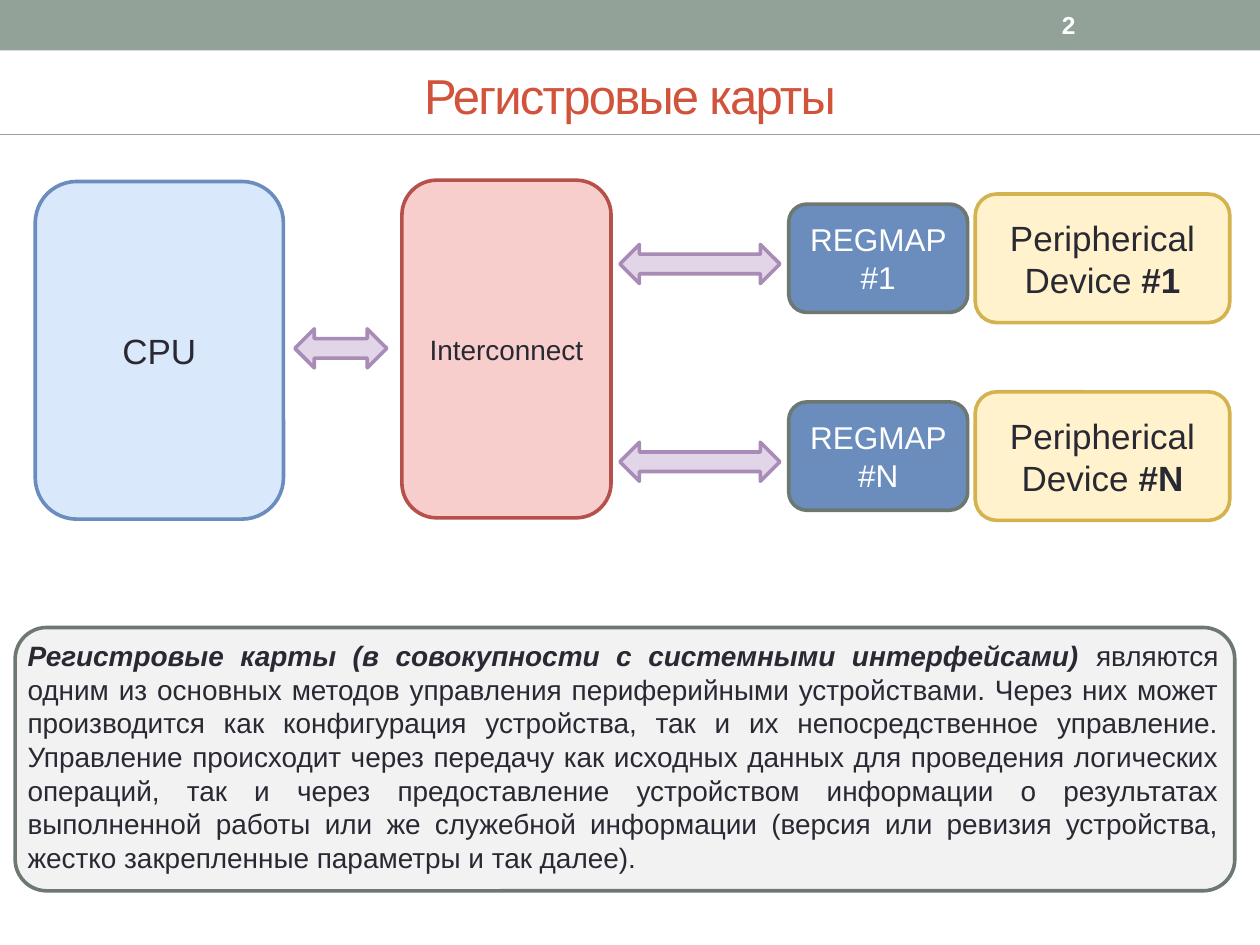
from lxml import etree
from pptx import Presentation
from pptx.dml.color import RGBColor
from pptx.enum.shapes import MSO_CONNECTOR, MSO_SHAPE as SHAPE
from pptx.enum.text import MSO_ANCHOR as ANCHOR, PP_ALIGN as ALIGN
from pptx.oxml.ns import qn
from pptx.util import Inches, Pt

COLORS = {
    "band": "93A299", "title": "D2533C", "ink": "292934", "white": "FFFFFF",
    "cpu": "DAE8FC", "blue": "6A8DBE", "bus": "F8CECC", "red": "B6504B",
    "device": "FFF2CC", "gold": "D4B24D", "arrow": "E1D5E7", "violet": "A88BB6",
    "gray": "6D7871",
}


def color(name):
    return RGBColor.from_string(COLORS[name])


def write(shape, *runs, size=16, ink="ink", align=ALIGN.CENTER,
          anchor=ANCHOR.MIDDLE, spacing=0):
    """Fill a shape with one paragraph; each run is (text, bold, italic)."""
    frame = shape.text_frame
    frame.word_wrap = True
    frame.vertical_anchor = anchor
    paragraph = frame.paragraphs[0]
    paragraph.alignment = align
    for text, bold, italic in runs:
        run = paragraph.add_run()
        run.text = text
        font = run.font
        font.name, font.size, font.bold, font.italic = "Arial", Pt(size), bold, italic
        font.color.rgb = color(ink)
        if spacing:
            font._element.set("spc", str(spacing * 100))


def add_box(kind, left, top, width, height, fill, line=None):
    shape = slide.shapes.add_shape(
        kind, Inches(left), Inches(top), Inches(width), Inches(height))
    shape.shadow.inherit = False
    shape.fill.solid()
    shape.fill.fore_color.rgb = color(fill)
    if line:
        shape.line.color.rgb = color(line)
        shape.line.width = Pt(2.08)
    else:
        shape.line.fill.background()
    return shape


presentation = Presentation()
presentation.slide_width, presentation.slide_height = Inches(10), Inches(7.5)
slide = presentation.slides.add_slide(presentation.slide_layouts[6])

# Header band, page number, title and rule
add_box(SHAPE.RECTANGLE, 0, 0, 10, 0.4, "band")
number = slide.shapes.add_textbox(Inches(8.33), Inches(0.02), Inches(1.17), Inches(0.36))
write(number, ("2", True, False), size=14, ink="white", align=ALIGN.LEFT)
title = slide.shapes.add_textbox(0, Inches(0.44), Inches(10), Inches(0.63))
write(title, ("Регистровые карты", False, False), size=28, ink="title", spacing=-1)
rule = slide.shapes.add_connector(
    MSO_CONNECTOR.STRAIGHT, 0, Inches(1.07), Inches(10), Inches(1.07))
rule.line.color.rgb = color("band")
rule.line.width = Pt(0.75)
etree.SubElement(rule._element.spPr, qn("a:effectLst"))

# Processor and interconnect
cpu = add_box(SHAPE.ROUNDED_RECTANGLE, 0.28, 1.44, 1.97, 2.68, "cpu", "blue")
write(cpu, ("CPU", False, False), size=20)
interconnect = add_box(SHAPE.ROUNDED_RECTANGLE, 3.19, 1.43, 1.66, 2.68, "bus", "red")
write(interconnect, ("Interconnect", False, False))
add_box(SHAPE.LEFT_RIGHT_ARROW, 2.34, 2.61, 0.73, 0.31, "arrow", "violet")

# One row per device: arrow, register map, device
for top, label in ((1.54, "#1"), (3.11, "#N")):
    add_box(SHAPE.LEFT_RIGHT_ARROW, 4.92, top + 0.4, 1.27, 0.31, "arrow", "violet")
    regmap = add_box(SHAPE.ROUNDED_RECTANGLE, 6.26, top + 0.08, 1.42, 0.86, "blue", "gray")
    write(regmap, (f"REGMAP {label}", False, False), size=18, ink="white")
    device = add_box(SHAPE.ROUNDED_RECTANGLE, 7.74, top, 2.02, 1.02, "device", "gold")
    write(device, ("Peripherical Device ", False, False), (label, True, False), size=20)

# Explanation on a translucent panel
panel = add_box(SHAPE.ROUNDED_RECTANGLE, 0.12, 4.98, 9.68, 2.09, "ink", "gray")
panel.adjustments[0] = 0.12
panel_color = panel._element.spPr.find(qn("a:solidFill")).find(qn("a:srgbClr"))
etree.SubElement(panel_color, qn("a:alpha"), val="6000")
explanation = slide.shapes.add_textbox(Inches(0.12), Inches(5.02), Inches(9.65), Inches(1.99))
write(
    explanation,
    ("Регистровые карты (в совокупности с системными интерфейсами) ", True, True),
    ("являются одним из основных методов управления периферийными устройствами. "
     "Через них может производится как конфигурация устройства, так и их "
     "непосредственное управление. Управление происходит через передачу как "
     "исходных данных для проведения логических операций, так и через "
     "предоставление устройством информации о результатах выполненной работы "
     "или же служебной информации (версия или ревизия устройства, жестко "
     "закрепленные параметры и так далее).", False, False),
    align=ALIGN.JUSTIFY, anchor=ANCHOR.TOP)

presentation.save("out.pptx")
